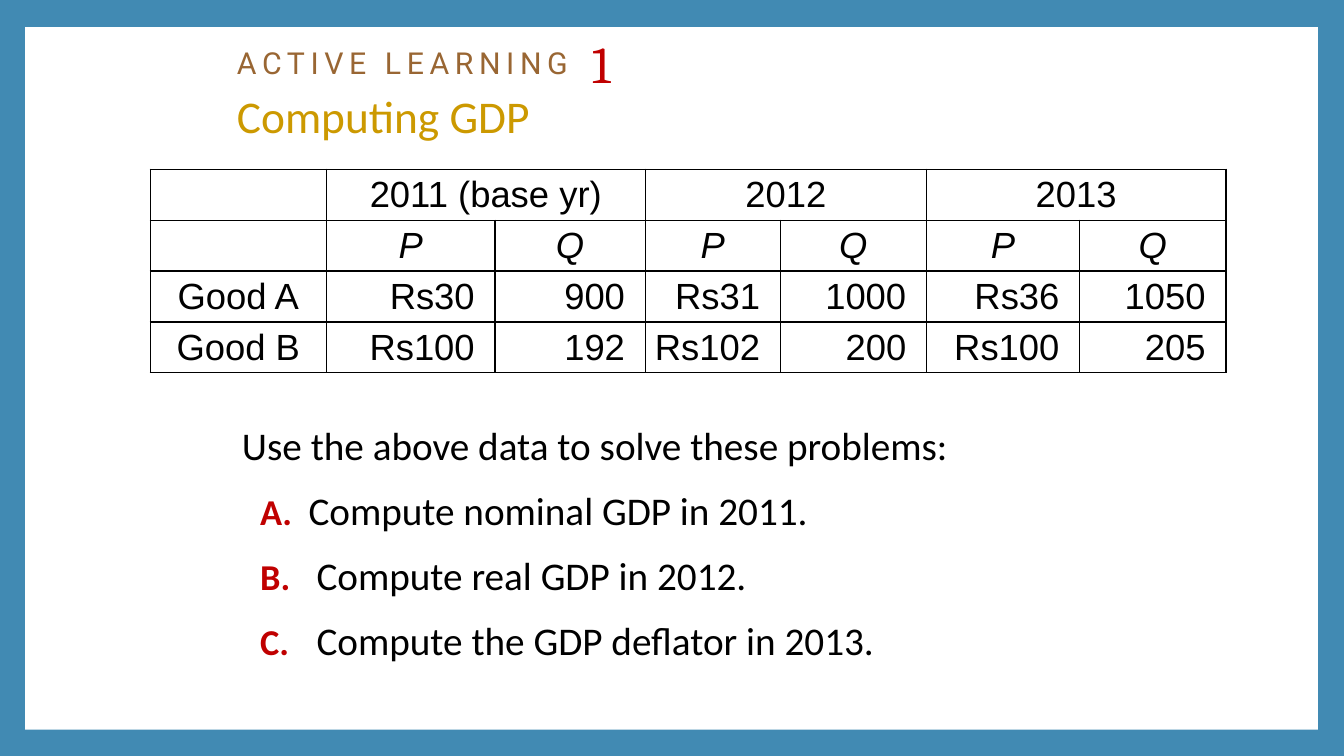
from dataclasses import dataclass

import pptx
import pptx.dml.color
import pptx.enum.shapes
import pptx.enum.text
import pptx.oxml
import pptx.oxml.ns
import pptx.util
from pptx.util import Inches

COLORS = {
    "frame": "418AB3", "paper": "FFFFFF", "ink": "000000",
    "kicker": "996633", "accent": "C00000", "heading": "CC9900",
}
ALIGN = pptx.enum.text.PP_ALIGN
MIDDLE = pptx.enum.text.MSO_ANCHOR.MIDDLE


@dataclass
class Style:
    font: str
    size: float
    color: str
    bold: bool = False
    italic: bool = False


@dataclass
class Problem:
    letter: str
    task: str
    indent: float


KICKER = Style("Roboto", 21.6, "kicker")
NUMBER = Style("Cambria", 63.9, "accent")
HEADING = Style("Calibri", 32.4, "heading")
BODY = Style("Calibri", 28, "ink")
LETTER = Style("Calibri", 26, "accent", bold=True)
CELL = Style("Arial", 26, "ink")
SYMBOL = Style("Arial", 26, "ink", italic=True)

PROBLEMS = [
    Problem("A.", "Compute nominal GDP in 2011.", 0.66),
    Problem("B.", "Compute real GDP in 2012.", 0.74),
    Problem("C.", "Compute the GDP deflator in 2013.", 0.74),
]
LETTER_LEFT = 0.18
COLUMN_WIDTHS = [1.75, 1.67, 1.49, 1.34, 1.45, 1.52, 1.45]
TABLE_HEIGHT = 2.02
GDP_ROWS = [
    ["", "2011 (base yr)", "", "2012", "", "2013", ""],
    ["", "P", "Q", "P", "Q", "P", "Q"],
    ["Good A", "Rs30", "900", "Rs31", "1000", "Rs36", "1050"],
    ["Good B", "Rs100", "192", "Rs102", "200", "Rs100", "205"],
]


def rgb(name: str) -> pptx.dml.color.RGBColor:
    return pptx.dml.color.RGBColor.from_string(COLORS[name])


def format_run(run, style: Style) -> None:
    font = run.font
    font.name = style.font
    font.size = pptx.util.Pt(style.size)
    font.bold = style.bold
    font.italic = style.italic
    font.color.rgb = rgb(style.color)


def add_styled_run(paragraph, text: str, style: Style):
    run = paragraph.add_run()
    run.text = text
    format_run(run, style)
    return run


def add_xml(parent, xml: str) -> None:
    namespace = pptx.oxml.ns.nsdecls("a")
    parent.append(pptx.oxml.parse_xml(xml.replace("/>", f" {namespace}/>", 1)
                                      if xml.endswith("/>") and xml.count("<") == 1
                                      else xml.replace(">", f" {namespace}>", 1)))


def place(shape, left: float, top: float, width: float, height: float) -> None:
    shape.left, shape.top = Inches(left), Inches(top)
    shape.width, shape.height = Inches(width), Inches(height)


def add_paper(slide) -> None:
    """Put the white sheet behind everything else on the slide."""
    paper = slide.shapes.add_shape(
        pptx.enum.shapes.MSO_SHAPE.RECTANGLE,
        Inches(0.25), Inches(0.27), Inches(12.82), Inches(6.97))
    paper.shadow.inherit = False
    paper.fill.solid()
    paper.fill.fore_color.rgb = rgb("paper")
    paper.line.fill.background()
    slide.shapes.element.insert(2, paper.element)


def fill_title(title) -> None:
    place(title, 2.25, 0.17, 8.98, 1.04)
    frame = title.text_frame
    frame.auto_size = pptx.enum.text.MSO_AUTO_SIZE.NONE
    frame.vertical_anchor = MIDDLE
    paragraph = frame.paragraphs[0]
    paragraph.alignment = ALIGN.LEFT
    paragraph.line_spacing = 0.9
    number_stop = Inches(3.52)
    add_xml(paragraph._p.get_or_add_pPr(),
            f'<a:tabLst><a:tab pos="{number_stop}" algn="l"/></a:tabLst>')
    kicker = add_styled_run(paragraph, "ACTIVE LEARNING", KICKER)
    kicker.font._element.set("spc", "400")
    add_styled_run(paragraph, "\t", KICKER)
    number = add_styled_run(paragraph, "1", NUMBER)
    number.font._element.set("baseline", "-10000")
    paragraph.add_line_break()
    add_styled_run(paragraph, "Computing GDP", HEADING)


def set_paragraph(paragraph, left: float, hanging: float, before: float) -> None:
    paragraph.alignment = ALIGN.LEFT
    paragraph.line_spacing = 1.05
    paragraph.space_before = pptx.util.Pt(before)
    properties = paragraph._p.get_or_add_pPr()
    properties.set("marL", str(Inches(left)))
    properties.set("indent", str(-Inches(hanging)))
    add_xml(properties, "<a:buNone/>")


def fill_problems(body) -> None:
    place(body, 2.3, 4.11, 9, 2.82)
    frame = body.text_frame
    frame.auto_size = pptx.enum.text.MSO_AUTO_SIZE.NONE
    frame.text = "Use the above data to solve these problems:"
    introduction = frame.paragraphs[0]
    set_paragraph(introduction, 0, 0, 0)
    format_run(introduction.runs[0], BODY)
    for problem in PROBLEMS:
        paragraph = frame.add_paragraph()
        paragraph.level = 1
        set_paragraph(paragraph, problem.indent, problem.indent - LETTER_LEFT, 11)
        add_styled_run(paragraph, f"{problem.letter}\t", LETTER)
        add_styled_run(paragraph, problem.task, BODY)


def add_borders(cell) -> None:
    """Draw black lines on all four sides; they must precede the cell's fill."""
    properties = cell._tc.get_or_add_tcPr()
    for side in ("lnL", "lnR", "lnT", "lnB"):
        add_xml(properties,
                f'<a:{side} w="12700"><a:solidFill><a:srgbClr val="{COLORS["ink"]}"/>'
                f'</a:solidFill></a:{side}>')


def fill_cell(cell, text: str, row: int, column: int) -> None:
    is_value = row > 1 and column > 0
    add_borders(cell)
    cell.fill.solid()
    cell.fill.fore_color.rgb = rgb("paper")
    cell.vertical_anchor = MIDDLE
    cell.margin_top = cell.margin_bottom = Inches(0.04)
    cell.margin_left = Inches(0.05)
    cell.margin_right = Inches(0.2 if is_value else 0.05)
    if text:
        cell.text_frame.text = text
        paragraph = cell.text_frame.paragraphs[0]
        paragraph.alignment = ALIGN.RIGHT if is_value else ALIGN.CENTER
        format_run(paragraph.runs[0], SYMBOL if row == 1 else CELL)


def add_gdp_table(slide) -> None:
    table = slide.shapes.add_table(
        len(GDP_ROWS), len(COLUMN_WIDTHS), Inches(1.49), Inches(1.68),
        Inches(sum(COLUMN_WIDTHS)), Inches(TABLE_HEIGHT)).table
    table.first_row = table.horz_banding = False
    for column, width in zip(table.columns, COLUMN_WIDTHS):
        column.width = Inches(width)
    for row, texts in enumerate(GDP_ROWS):
        for column, text in enumerate(texts):
            fill_cell(table.cell(row, column), text, row, column)
    for column in range(1, len(COLUMN_WIDTHS), 2):
        table.cell(0, column).merge(table.cell(0, column + 1))


def main() -> None:
    presentation = pptx.Presentation()
    presentation.slide_width = Inches(13.33)
    presentation.slide_height = Inches(7.5)
    slide = presentation.slides.add_slide(presentation.slide_layouts[1])
    slide.background.fill.solid()
    slide.background.fill.fore_color.rgb = rgb("frame")
    add_paper(slide)
    fill_title(slide.shapes.title)
    fill_problems(slide.placeholders[1])
    add_gdp_table(slide)
    presentation.save("out.pptx")


if __name__ == "__main__":
    main()
